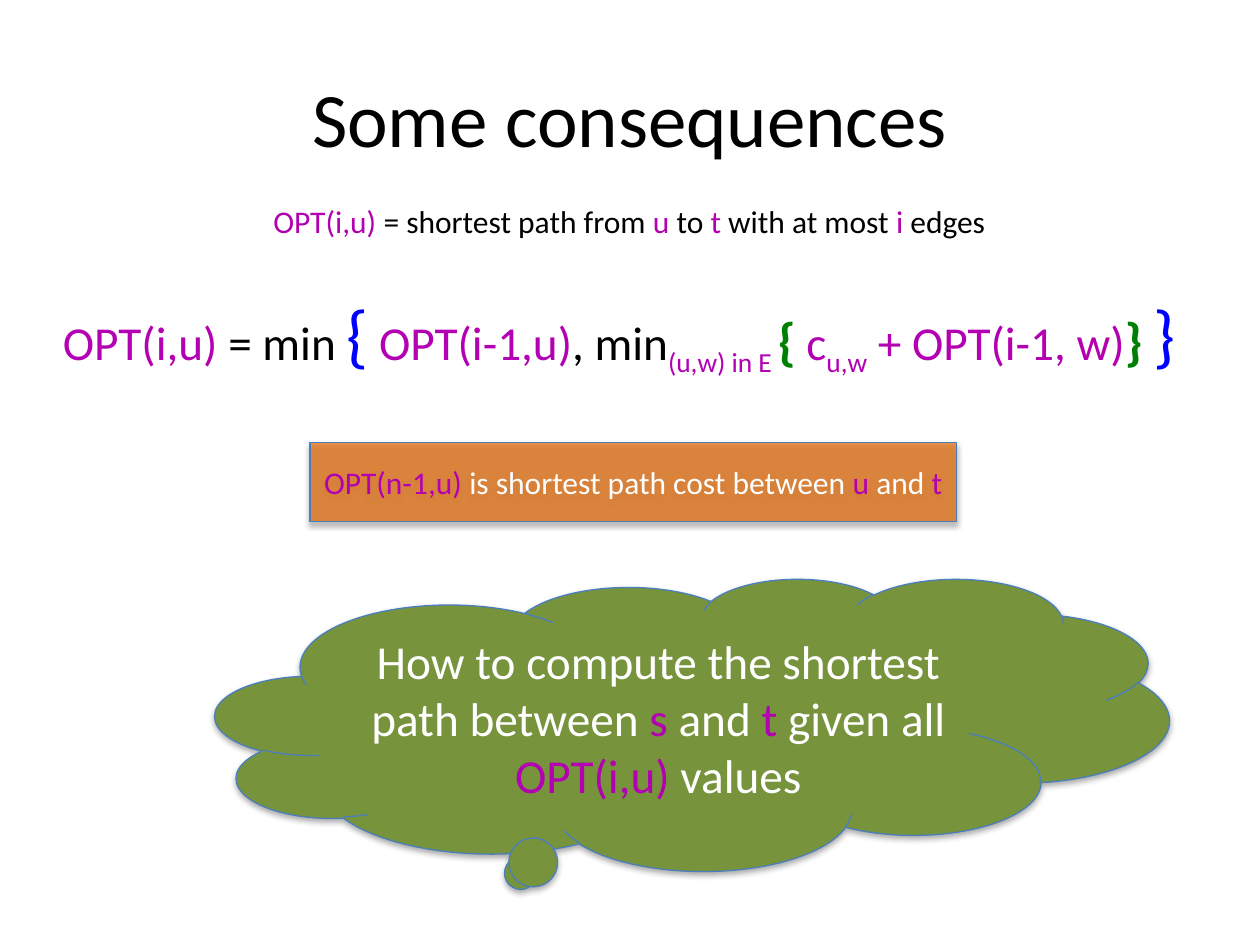
import pptx
import pptx.dml.color
import pptx.enum.shapes
import pptx.enum.text
import pptx.oxml
import pptx.oxml.ns
import pptx.util
from lxml import etree

Cm = pptx.util.Cm
Pt = pptx.util.Pt
RGB = pptx.dml.color.RGBColor
Kind = pptx.enum.shapes.MSO_SHAPE
Align = pptx.enum.text.PP_ALIGN
Anchor = pptx.enum.text.MSO_ANCHOR
qn = pptx.oxml.ns.qn

BLACK = RGB(0x00, 0x00, 0x00)
WHITE = RGB(0xFF, 0xFF, 0xFF)
PURPLE = RGB(0xB2, 0x00, 0xB2)
BLUE = RGB(0x00, 0x00, 0xFF)
GREEN = RGB(0x00, 0x80, 0x00)
ORANGE = RGB(0xE4, 0x6C, 0x0A)
OLIVE = RGB(0x77, 0x93, 0x3C)
EDGE = RGB(0x4B, 0x7E, 0xBC)

SHADOW = (
    '<a:outerShdw xmlns:a="http://schemas.openxmlformats.org/drawingml/2006/main"'
    ' blurRad="40000" dist="23000" dir="5400000" rotWithShape="0">'
    '<a:srgbClr val="000000"><a:alpha val="35000"/></a:srgbClr></a:outerShdw>'
)


class Deck:
    font = "Calibri"

    def __init__(self):
        self.prs = pptx.Presentation()
        self.prs.slide_width = Cm(25.4)
        self.prs.slide_height = Cm(19.05)
        self.slide = self.prs.slides.add_slide(self.prs.slide_layouts[5])

    def put(self, frame, size, runs, align):
        """Fill a frame with runs of (text, colour, then optional font settings)."""
        para = frame.paragraphs[0]
        para.alignment = align
        para.font.name = self.font
        para.font.size = Pt(size)
        for text, color, *more in runs:
            run = para.add_run()
            run.text = text
            run.font.color.rgb = color
            for look in more:
                if "size" in look:
                    run.font.size = Pt(look["size"])
                if "bold" in look:
                    run.font.bold = look["bold"]
                if "base" in look:
                    run._r.get_or_add_rPr().set("baseline", str(look["base"] * 1000))

    def title(self, box, text):
        shape = self.slide.shapes.title
        shape.left, shape.top, shape.width, shape.height = map(Cm, box)
        shape.text_frame.vertical_anchor = Anchor.MIDDLE
        self.put(shape.text_frame, 44, [(text, BLACK)], Align.CENTER)

    def label(self, box, size, runs):
        frame = self.slide.shapes.add_textbox(*map(Cm, box)).text_frame
        frame.word_wrap = False
        frame.auto_size = pptx.enum.text.MSO_AUTO_SIZE.SHAPE_TO_FIT_TEXT
        self.put(frame, size, runs, Align.LEFT)

    def panel(self, kind, box, fill, size, runs, alpha=100, adjust=()):
        shape = self.slide.shapes.add_shape(kind, *map(Cm, box))
        for i, value in enumerate(adjust):
            shape.adjustments[i] = value
        shape.fill.solid()
        shape.fill.fore_color.rgb = fill
        shape.line.color.rgb = EDGE
        shape.line.width = Pt(0.75)
        props = shape._element.spPr
        if alpha < 100:
            color = props.find(qn("a:solidFill")).find(qn("a:srgbClr"))
            etree.SubElement(color, qn("a:alpha")).set("val", str(alpha * 1000))
        shape.shadow.inherit = False
        props.find(qn("a:effectLst")).append(pptx.oxml.parse_xml(SHADOW))
        shape.text_frame.word_wrap = True
        shape.text_frame.vertical_anchor = Anchor.MIDDLE
        self.put(shape.text_frame, size, runs, Align.CENTER)


def main():
    deck = Deck()
    deck.title((1.27, 0.76, 22.86, 3.18), "Some consequences")

    deck.label((5.26, 3.94, 14.91, 1.02), 18, [
        ("OPT(i,u) ", PURPLE), ("= shortest path from ", BLACK),
        ("u", PURPLE), (" to ", BLACK), ("t", PURPLE),
        (" with at most ", BLACK), ("i", PURPLE), (" edges", BLACK),
    ])

    outer = {"size": 40}
    inner = {"size": 30, "bold": True}
    sub = {"base": -25}
    deck.label((1.02, 5.74, 23.62, 1.96), 27, [
        ("OPT(i,u)", PURPLE), (" = min ", BLACK), ("{", BLUE, outer),
        (" ", BLACK), ("OPT(i-1,u)", PURPLE), (", min", BLACK),
        ("(u,w) in E ", PURPLE, sub), ("{", GREEN, inner), (" ", BLACK),
        ("c", PURPLE), ("u,w", PURPLE, sub), (" + OPT(i-1, w)", PURPLE),
        ("}", GREEN, inner), (" ", BLACK), ("}", BLUE, outer),
    ])

    deck.panel(Kind.RECTANGLE, (6.25, 8.92, 13.03, 1.6), ORANGE, 18, [
        ("OPT(n-1,u) ", PURPLE), ("is shortest path cost between ", WHITE),
        ("u", PURPLE), (" and ", WHITE), ("t", PURPLE),
    ], alpha=72)

    deck.panel(Kind.CLOUD_CALLOUT, (4.34, 11.66, 19.23, 5.89), OLIVE, 27, [
        ("How to compute the shortest path between ", WHITE),
        ("s", PURPLE), (" and ", WHITE), ("t", PURPLE),
        (" given all ", WHITE), ("OPT(i,u) ", PURPLE), ("values", WHITE),
    ], adjust=(-0.18, 0.51))

    deck.prs.save("out.pptx")


if __name__ == "__main__":
    main()
